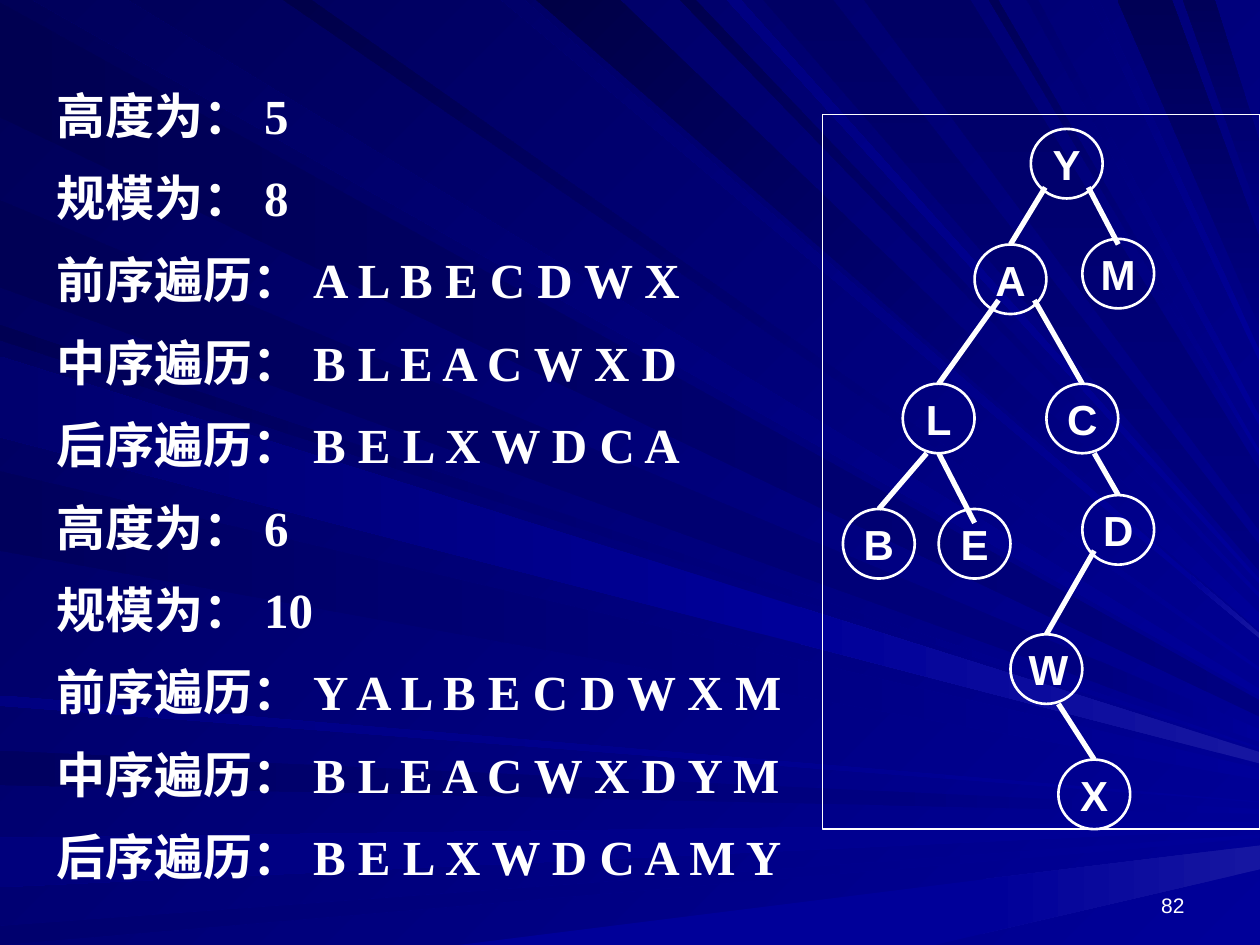
from collections import namedtuple

from lxml import etree
from pptx import Presentation, util as u
from pptx.dml.color import RGBColor
from pptx.enum import shapes as sh, text as tx

THEME = dict(ink="FFFFFF", deep="000057", blue="000099", navy="000080", glow="1616A1",
             list=28, node=24, page=12, serif="Times New Roman", sans="Arial")
BLUE, NAVY, GLOW = THEME["blue"], THEME["navy"], THEME["glow"]
DRAW = "{http://schemas.openxmlformats.org/drawingml/2006/main}"

# The slide is a grid of 1000 columns and 750 rows.
WIDE, HIGH = 1000, 750
prs = Presentation()
prs.slide_width, prs.slide_height = u.Inches(10), u.Inches(7.5)
UNIT = prs.slide_width // WIDE
slide = prs.slides.add_slide(prs.slide_layouts[1])
items = slide.shapes
ink = RGBColor.from_string(THEME["ink"])


def paint(fill, first, last, angle):
    """Fill with one colour, or a gradient whose angle runs clockwise."""
    if first == last:
        fill.solid()
        fill.fore_color.rgb = RGBColor.from_string(first)
        return
    fill.gradient()
    fill.gradient_angle = 360 - angle
    for stop, tone in zip(fill.gradient_stops, (first, last)):
        stop.color.rgb = RGBColor.from_string(tone)


def style(para, size, font, bold=True):
    para.font.size, para.font.name, para.font.bold = u.Pt(size), font, bold
    para.font.color.rgb = ink


paint(slide.background.fill, BLUE, THEME["deep"], 225)

# Every ray starts as a stretch of one slide edge and narrows towards the focus.
# Its body fades from bright to dark at the edge; past "reach" comes a lighter tip.
FOCUS = (1170, 650)
Ray = namedtuple("Ray", "start width dark reach tip", defaults=(WIDE, BLUE))
FANS = [  # edge, gradient angle, bright tone, rays
    ("left", 180, NAVY, [Ray(2, 91, "000051"), Ray(159, 69, "000055", 873),
                         Ray(596, 27, "000060", 701)]),
    ("left", 180, BLUE, [Ray(258, 12, "000053"), Ray(283, 64, "00006E", 635, GLOW),
                         Ray(374, 63, "00005C"), Ray(552, 8, "000081"),
                         Ray(665, 39, "00007C"), Ray(735, 15, "00006E")]),
    ("top", 225, BLUE, [Ray(26, 75, "00005C"), Ray(225, 22, "00004A"),
                        Ray(398, 18, "00006A", 945, GLOW), Ray(426, 66, "000046"),
                        Ray(540, 12, "00004E"), Ray(577, 11, "000081"),
                        Ray(785, 7, "000057"), Ray(815, 9, "00006E"),
                        Ray(865, 7, "000078")]),
    ("top", 270, NAVY, [Ray(606, 55, "000064"), Ray(686, 84, "000064"),
                        Ray(887, 43, "000055"), Ray(939, 25, "000059")]),
    ("bottom", 180, BLUE, [Ray(364, 378, BLUE, 780, GLOW)]),
]
for edge, angle, bright, rays in FANS:
    for ray in rays:
        rim = [(0, n) if edge == "left" else (n, 0 if edge == "top" else HIGH)
               for n in (ray.start, ray.start + ray.width)]
        # Cut both sides of the ray at its rim, its reach and the right edge
        cuts = [rim] + [
            [(cut, y + (FOCUS[1] - y) * (cut - x) / (FOCUS[0] - x)) for x, y in rim]
            for cut in (ray.reach, WIDE)]
        tones = [(bright, ray.dark), (ray.tip, bright)]
        for near, far, pair in zip(cuts, cuts[1:], tones):
            if near == far:
                continue
            pen = items.build_freeform(*near[0], scale=UNIT)
            pen.add_line_segments([far[0], far[1], near[1]], close=True)
            beam = pen.convert_to_shape()
            paint(beam.fill, *pair, angle)
            beam.line.fill.background()
            beam.shadow.inherit = False

# Answers for the left subtree, then for the whole tree
LABELS = ["高度为", "规模为", "前序遍历", "中序遍历", "后序遍历"]
ANSWERS = [("5", "8", "ALBECDWX", "BLEACWXD", "BELXWDCA"),
           ("6", "10", "YALBECDWXM", "BLEACWXDYM", "BELXWDCAMY")]
lines = [f"{label}：{' '.join(value) if value.isalpha() else value}"
         for group in ANSWERS for label, value in zip(LABELS, group)]
title, body = slide.placeholders
title.element.getparent().remove(title.element)
items.element.append(body.element)  # in front of the rays
body.left, body.top, body.width, body.height = [
    UNIT * n for n in (35, 44, 669, 664)]
frame = body.text_frame
frame.text = "\n".join(lines)
frame.auto_size = tx.MSO_AUTO_SIZE.NONE
for para in frame.paragraphs:
    para.line_spacing, para.space_before = 1.4, u.Pt(0)
    props = para._p.get_or_add_pPr()
    props.set("marL", "0")
    props.set("indent", "0")
    etree.SubElement(props, DRAW + "buNone")
    style(para, THEME["list"], THEME["serif"])

# Binary tree on its own grid: a node is 6 columns wide and 5 rows high
LEFT, TOP, COL, ROW = 669, 194, 9.5, 11.05
SPAN, RISE = 6, 5
NODES = dict(Y=(15.7, -8.3), A=(11, 0), M=(20, -0.4), L=(5, 10), C=(17, 10),
             B=(0, 19), E=(8, 19), D=(20, 18), W=(14, 28), X=(18, 37))
BRANCHES = [  # parent, child, start right of the parent's centre and below its top
    ("Y", "A", -1.8, 4.2), ("Y", "M", 1.8, 4.2), ("A", "L", -1, 4), ("A", "C", 2, 4),
    ("L", "B", -1, RISE), ("L", "E", 0, RISE), ("C", "D", 1, RISE),
    ("D", "W", -2, 4), ("W", "X", 1, RISE)]
DIP = dict(E=1, M=0.4)  # rows by which a branch enters its child

parts = [(sh.MSO_SHAPE.RECTANGLE, "", (653, 91, 347, 567), 0.75)]
parts += [(sh.MSO_SHAPE.OVAL, key,
           (LEFT + col * COL, TOP + row * ROW, SPAN * COL, RISE * ROW), 1.5)
          for key, (col, row) in NODES.items()]
for kind, key, box, width in parts:
    part = items.add_shape(kind, *[int(UNIT * n) for n in box])
    part.shadow.inherit = False
    part.fill.background()
    part.line.color.rgb, part.line.width = ink, u.Pt(width)
    if key:
        frame = part.text_frame
        frame.margin_left = frame.margin_right = UNIT * 6
        frame.margin_top = frame.margin_bottom = UNIT * 3
        frame.vertical_anchor = tx.MSO_ANCHOR.MIDDLE
        frame.text = key
        frame.paragraphs[0].alignment = tx.PP_ALIGN.CENTER
        style(frame.paragraphs[0], THEME["node"], THEME["sans"])

for parent, child, right, down in BRANCHES:
    ends = []
    for key, dx, dy in ((parent, right, down), (child, 0, DIP.get(child, 0))):
        col, row = NODES[key]
        ends += [LEFT + (col + SPAN / 2 + dx) * COL, TOP + (row + dy) * ROW]
    branch = items.add_connector(sh.MSO_CONNECTOR.STRAIGHT, *[int(UNIT * n) for n in ends])
    branch.line.color.rgb, branch.line.width = ink, u.Pt(3)
    etree.SubElement(branch.element.spPr, DRAW + "effectLst")

page = items.add_textbox(*[UNIT * n for n in (717, 683, 233, 50)])
frame = page.text_frame
frame.word_wrap, frame.vertical_anchor = True, tx.MSO_ANCHOR.BOTTOM
frame.text = "82"
frame.paragraphs[0].alignment = tx.PP_ALIGN.RIGHT
style(frame.paragraphs[0], THEME["page"], THEME["sans"], False)

prs.save("out.pptx")
